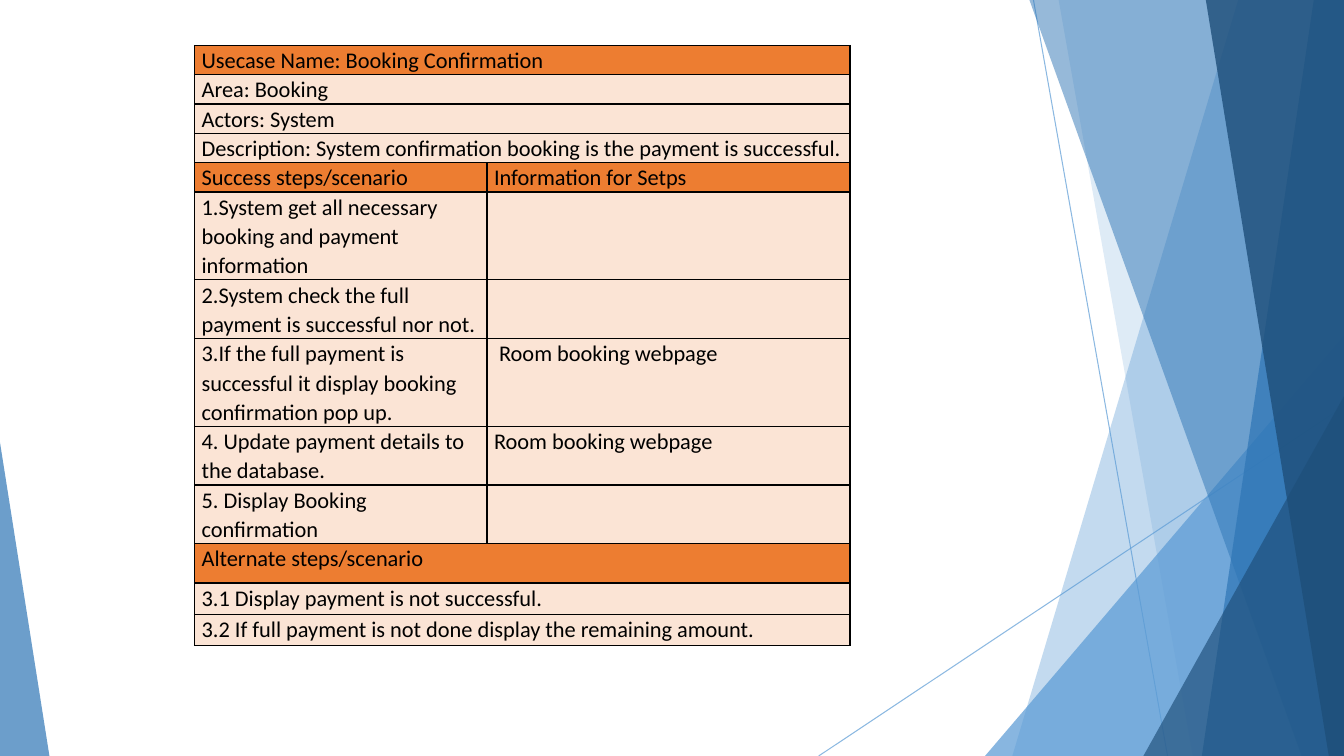
import pptx
import pptx.util
import pptx.dml.color
import pptx.enum.shapes
import pptx.oxml.ns
import lxml.etree

Inches, Pt = pptx.util.Inches, pptx.util.Pt

THEME = {
    "font": "Calibri", "size": 16, "text": "000000", "border": "000000",
    "header": "ED7D31", "body": "FBE4D5",
    "light": "5B9BD5", "mid": "2E75B5", "dark": "1E4E79",
}
W, H = 13.33, 7.5

# Content: (fill, lines of text in the tallest cell, cell texts); one text spans the row
ROWS = [
    ("header", 1, ["Usecase Name: Booking Confirmation"]),
    ("body", 1, ["Area: Booking"]),
    ("body", 1, ["Actors: System"]),
    ("body", 1, ["Description: System confirmation booking is the payment is successful."]),
    ("header", 1, ["Success steps/scenario", "Information for Setps"]),
    ("body", 3, ["1.System get all necessary booking and payment information", ""]),
    ("body", 2, ["2.System check the full payment is successful nor not.", ""]),
    ("body", 3, ["3.If the full payment is successful it display booking confirmation pop up.",
                 " Room booking webpage"]),
    ("body", 2, ["4. Update payment details to the database.", "Room booking webpage"]),
    ("body", 2, ["5. Display Booking confirmation", ""]),
    ("header", 1, ["Alternate steps/scenario"]),
    ("body", 1, ["3.1 Display payment is not successful."]),
    ("body", 1, ["3.2 If full payment is not done display the remaining amount."]),
]
LINE_H = 0.29
TALLER_ROWS = {10: 0.39, 11: 0.31, 12: 0.31}
COLS = [2.9, 3.6]
TABLE_AT = (1.93, 0.45)

# Decoration, back to front
RAYS = [((10.25, 0), (11.58, H)), ((W, 4.03), (8.12, H))]
# Bands reach the right edge: (top x, bottom x, colour, opacity %)
# Triangles stand on the bottom edge: (left, top, width, apex, colour, opacity %)
FACETS = [
    ("band", 12.28, 10.04, "light", 36),
    ("band", 10.5, 11.83, "light", 20),
    ("triangle", 9.77, 3.33, 3.56, 1, "light", 72),
    ("band", 10.21, 12.91, "mid", 50),
    ("band", 13.03, 11.92, "mid", 70),
    ("band", 11.96, 13.18, "dark", 80),
    ("triangle", 11.34, 3.93, 1.99, 1, "dark", 66),
    ("triangle", 0, 4.39, 0.49, 0, "mid", 70),
]


def rgb(name):
    return pptx.dml.color.RGBColor.from_string(THEME[name])


def sub(parent, tag, **attrs):
    return lxml.etree.SubElement(parent, pptx.oxml.ns.qn(tag), **attrs)


def set_opacity(fill_parent, percent):
    color = next(fill_parent.iter(pptx.oxml.ns.qn("a:srgbClr")))
    sub(color, "a:alpha", val=str(percent * 1000))


def add_ray(slide, start, end):
    line = slide.shapes.add_connector(
        pptx.enum.shapes.MSO_CONNECTOR.STRAIGHT, *map(Inches, start + end))
    line.line.color.rgb = rgb("light")
    line.line.width = Pt(0.75)
    props = line._element.spPr
    set_opacity(props, 70)
    sub(props, "a:effectLst")


def add_band(slide, top_x, bottom_x):
    corners = [(Inches(x), Inches(y)) for x, y in
               ((top_x, 0), (W, 0), (W, H), (bottom_x, H))]
    builder = slide.shapes.build_freeform(*corners[0])
    builder.add_line_segments(corners[1:], close=True)
    return builder.convert_to_shape()


def add_triangle(slide, left, top, width, apex):
    sp = slide.shapes.add_shape(
        pptx.enum.shapes.MSO_SHAPE.ISOSCELES_TRIANGLE,
        Inches(left), Inches(top), Inches(width), Inches(H - top))
    sp.adjustments[0] = apex
    return sp


def add_facet(slide, kind, *details):
    *geometry, color, opacity = details
    draw = add_band if kind == "band" else add_triangle
    sp = draw(slide, *geometry)
    sp.shadow.inherit = False
    sp.fill.solid()
    sp.fill.fore_color.rgb = rgb(color)
    set_opacity(sp._element.spPr, opacity)
    sp.line.fill.background()


def format_cell(cell, fill):
    cell.margin_left = cell.margin_right = Inches(0.07)
    cell.margin_top = cell.margin_bottom = 0
    props = cell._tc.get_or_add_tcPr()
    for side in ("a:lnL", "a:lnR", "a:lnT", "a:lnB"):
        border = sub(props, side, w=str(Pt(1)))
        sub(sub(border, "a:solidFill"), "a:srgbClr", val=THEME["border"])
    cell.fill.solid()
    cell.fill.fore_color.rgb = rgb(fill)


def write_cell(cell, text):
    cell.text_frame.text = text
    p = cell.text_frame.paragraphs[0]
    p.line_spacing = 1.07
    for r in p.runs:
        r.font.name = THEME["font"]
        r.font.size = Pt(THEME["size"])
        r.font.color.rgb = rgb("text")


def add_usecase_table(slide):
    heights = [TALLER_ROWS.get(i, lines * LINE_H) for i, (_, lines, _) in enumerate(ROWS)]
    frame = slide.shapes.add_table(
        len(ROWS), len(COLS), *map(Inches, TABLE_AT + (sum(COLS), sum(heights))))
    table = frame.table
    table.first_row = table.horz_banding = False
    for column, width in zip(table.columns, COLS):
        column.width = Inches(width)
    for i, (fill, _, texts) in enumerate(ROWS):
        table.rows[i].height = Inches(heights[i])
        for j in range(len(COLS)):
            format_cell(table.cell(i, j), fill)
        if len(texts) == 1:
            table.cell(i, 0).merge(table.cell(i, len(COLS) - 1))
        for j, text in enumerate(texts):
            write_cell(table.cell(i, j), text)


def main():
    prs = pptx.Presentation()
    prs.slide_width, prs.slide_height = Inches(W), Inches(H)
    slide = prs.slides.add_slide(prs.slide_layouts[6])
    for start, end in RAYS:
        add_ray(slide, start, end)
    for facet in FACETS:
        add_facet(slide, *facet)
    add_usecase_table(slide)
    prs.save("out.pptx")


if __name__ == "__main__":
    main()
